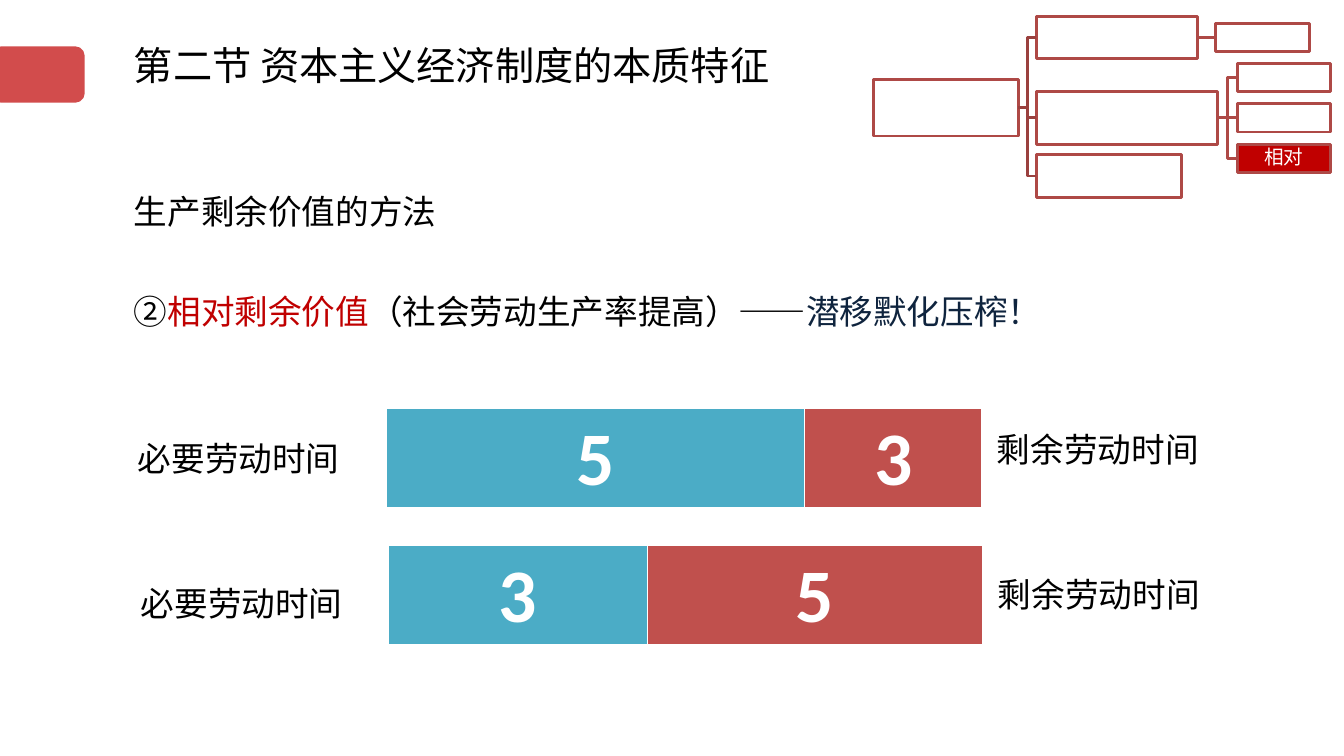
from pptx import Presentation
from pptx.dml.color import RGBColor
from pptx.enum.shapes import MSO_CONNECTOR, MSO_SHAPE
from pptx.enum.text import MSO_ANCHOR, PP_ALIGN
from pptx.oxml.ns import qn
from pptx.util import Pt
from lxml import etree

PX = 9144  # EMU in one px, 100 px to the inch
STRAIGHT, ELBOW = MSO_CONNECTOR.STRAIGHT, MSO_CONNECTOR.ELBOW
RECT, ROUNDED = MSO_SHAPE.RECTANGLE, MSO_SHAPE.ROUNDED_RECTANGLE
MIDDLE, CENTER = MSO_ANCHOR.MIDDLE, PP_ALIGN.CENTER
LEFT_SIDE, RIGHT_SIDE = 1, 3
CJK, LATIN = "Noto Sans CJK SC", "Calibri"
COLORS = {
    "black": "000000",
    "white": "FFFFFF",
    "red": "C00000",
    "navy": "0F243E",
    "necessary": "4BACC6",
    "surplus": "C0504D",
    "outline": "AE4946",
    "trunk": "9A403E",
}


def rgb(color):
    return RGBColor.from_string(COLORS[color])


class SlideBuilder:
    def __init__(self, slide):
        self.shapes = slide.shapes

    def style(self, paragraph, size, color=None, font=CJK, bold=None):
        paragraph.font.size = Pt(size)
        paragraph.font.name = font
        paragraph.font.bold = bold
        if color:
            paragraph.font.color.rgb = rgb(color)
        defaults = paragraph._p.find(".//" + qn("a:defRPr"))
        etree.SubElement(defaults, qn("a:ea"), typeface=font)

    def text(self, x, y, width, height, pieces, size=24, spacing=None):
        """Add a text box; pieces are (wording, colour) pairs on one line."""
        frame = self.shapes.add_textbox(x * PX, y * PX, width * PX, height * PX).text_frame
        frame.word_wrap = True
        paragraph = frame.paragraphs[0]
        if spacing:
            paragraph.line_spacing = spacing
        if len(pieces) == 1:
            paragraph.add_run().text = pieces[0][0]
            self.style(paragraph, size, pieces[0][1])
            return
        for wording, color in pieces:
            run = paragraph.add_run()
            run.text = wording
            run.font.color.rgb = rgb(color)
        self.style(paragraph, size)

    def box(self, x, y, width, height, fill="white", line="outline", kind=RECT):
        shape = self.shapes.add_shape(kind, x * PX, y * PX, width * PX, height * PX)
        shape.shadow.inherit = False
        shape.fill.solid()
        shape.fill.fore_color.rgb = rgb(fill)
        if line:
            shape.line.color.rgb = rgb(line)
            shape.line.width = Pt(2)
        else:
            shape.line.fill.background()
        return shape

    def label(self, shape, wording):
        frame = shape.text_frame
        frame.vertical_anchor = MIDDLE
        frame.margin_left = frame.margin_right = PX
        frame.margin_top = frame.margin_bottom = PX
        paragraph = frame.paragraphs[0]
        paragraph.text = wording
        paragraph.alignment = CENTER
        paragraph.line_spacing = 0.9
        self.style(paragraph, 14, "white")

    def fade(self, shape, percent):
        color = shape.fill._xPr.find(".//" + qn("a:srgbClr"))
        etree.SubElement(color, qn("a:alpha"), val=str(percent * 1000))

    def link(self, parent, child, color):
        """Join the right side of parent to the left side of child."""
        start_y = parent.top + parent.height // 2
        end_y = child.top + child.height // 2
        kind = STRAIGHT if start_y == end_y else ELBOW
        link = self.shapes.add_connector(
            kind, parent.left + parent.width, start_y, child.left, end_y)
        link.begin_connect(parent, RIGHT_SIDE)
        link.end_connect(child, LEFT_SIDE)
        link.line.color.rgb = rgb(color)
        link.line.width = Pt(2)
        etree.SubElement(link._element.spPr, qn("a:effectLst"))

    def border(self, cell):
        properties = cell._tc.get_or_add_tcPr()
        for side, points in (("L", 1), ("R", 1), ("T", 1), ("B", 3)):
            line = etree.SubElement(properties, qn("a:ln" + side), w=str(Pt(points)))
            fill = etree.SubElement(line, qn("a:solidFill"))
            etree.SubElement(fill, qn("a:srgbClr"), val=COLORS["white"])

    def hours_bar(self, x, y, height, parts):
        """Add a one-row table; parts are (hours, width, fill)."""
        total = sum(width for _, width, _ in parts)
        table = self.shapes.add_table(
            1, len(parts), x * PX, y * PX, total * PX, height * PX).table
        table.first_row = table.horz_banding = False
        for column, (hours, width, fill) in enumerate(parts):
            table.columns[column].width = width * PX
            cell = table.cell(0, column)
            self.border(cell)
            cell.fill.solid()
            cell.fill.fore_color.rgb = rgb(fill)
            paragraph = cell.text_frame.paragraphs[0]
            paragraph.text = hours
            paragraph.alignment = CENTER
            self.style(paragraph, 54, "white", LATIN, True)


def main():
    deck = Presentation()
    deck.slide_width, deck.slide_height = 1333 * PX, 750 * PX
    builder = SlideBuilder(deck.slides.add_slide(deck.slide_layouts[6]))

    title_tab = builder.box(-8, 46, 92, 56, "red", None, ROUNDED)
    builder.fade(title_tab, 70)
    builder.text(123, 36, 685, 71, [("第二节 资本主义经济制度的本质特征", "black")], 28)
    builder.text(123, 144, 1203, 91, [("生产剩余价值的方法", "black")], spacing=2.0)
    builder.text(123, 244, 1203, 91, [
        ("②", "black"),
        ("相对剩余价值", "red"),
        ("（社会劳动生产率提高）——", "black"),
        ("潜移默化压榨！", "navy"),
    ], spacing=2.0)

    working_days = [
        (383, 405, ("5", 415), ("3", 176), (127, 430), (979, 421)),
        (385, 541, ("3", 257), ("5", 333), (130, 573), (980, 564)),
    ]
    for x, y, necessary, surplus, necessary_at, surplus_at in working_days:
        builder.hours_bar(x, y, 100, [(*necessary, "necessary"), (*surplus, "surplus")])
        builder.text(*necessary_at, 236, 50, [("必要劳动时间", "black")])
        builder.text(*surplus_at, 236, 50, [("剩余劳动时间", "black")])

    root = builder.box(866, 79, 144, 56)
    branches = [
        builder.box(1028, y, width, height)
        for y, width, height in ((16, 160, 42), (91, 180, 52), (153, 144, 43))
    ]
    value_leaf = builder.box(1206, 23, 93, 28)
    method_leaves = [
        builder.box(1227, 63 + 40 * row, 93, 28, fill)
        for row, fill in enumerate(("white", "white", "red"))
    ]
    builder.label(method_leaves[-1], "相对")
    for branch in branches:
        builder.link(root, branch, "trunk")
    builder.link(branches[0], value_leaf, "outline")
    for leaf in method_leaves:
        builder.link(branches[1], leaf, "outline")

    deck.save("out.pptx")


if __name__ == "__main__":
    main()
